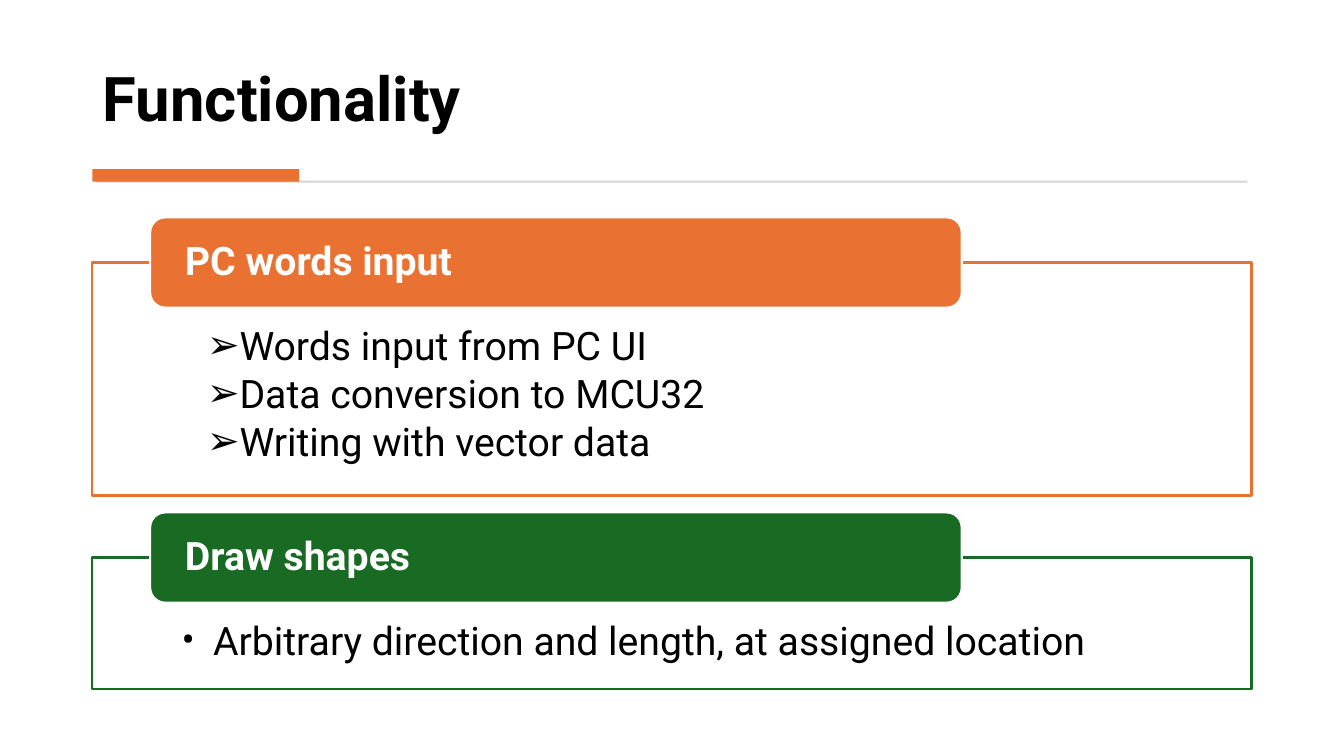
from dataclasses import dataclass

from lxml.etree import SubElement
from pptx import Presentation
from pptx.dml.color import RGBColor
from pptx.enum.shapes import MSO_SHAPE as Preset
from pptx.enum.text import MSO_ANCHOR as Anchor, PP_ALIGN as Align
from pptx.oxml.ns import qn
from pptx.shapes.autoshape import Shape
from pptx.slide import Slide
from pptx.text.text import TextFrame
from pptx.util import Emu, Pt

PX = 9525
FONT = "Roboto"
COLORS = {
    "black": "000000",
    "white": "FFFFFF",
    "gray": "D5D5D5",
    "orange": "E97132",
    "green": "196B24",
}
PANEL_LEFT, PANEL_WIDTH = 88, 1104
HEADER_LEFT, HEADER_WIDTH, HEADER_HEIGHT = 143, 773, 86


@dataclass(frozen=True)
class Box:
    left: int
    top: int
    width: int
    height: int

    def emu(self) -> list[Emu]:
        return [px(n) for n in (self.left, self.top, self.width, self.height)]


@dataclass(frozen=True)
class Section:
    heading: str
    items: tuple[str, ...]
    color: str
    top: int
    height: int
    bullet: str
    margin: int
    indent: int


SECTIONS = (
    Section(
        "PC words input",
        ("Words input from PC UI", "Data conversion to MCU32", "Writing with vector data"),
        "orange", 250, 222, "➢", 24, 0,
    ),
    Section(
        "Draw shapes",
        ("Arbitrary direction and length, at assigned location",),
        "green", 531, 125, "•", 30, -30,
    ),
)


def px(n: int) -> Emu:
    return Emu(n * PX)


def rgb(color: str) -> RGBColor:
    return RGBColor.from_string(COLORS[color])


def add_block(slide: Slide, preset: Preset, box: Box, fill: str, line: str = "") -> Shape:
    block = slide.shapes.add_shape(preset, *box.emu())
    block.shadow.inherit = False
    block.fill.solid()
    block.fill.fore_color.rgb = rgb(fill)
    if line:
        block.line.color.rgb = rgb(line)
        block.line.width = Pt(1.5)
    else:
        block.line.fill.background()
    return block


def set_frame(frame: TextFrame, anchor: Anchor, side: int, top: int, bottom: int) -> None:
    frame.word_wrap = True
    frame.vertical_anchor = anchor
    frame.margin_left = frame.margin_right = px(side)
    frame.margin_top, frame.margin_bottom = px(top), px(bottom)


def write_lines(frame: TextFrame, lines: tuple[str, ...], size: int, color: str,
                bold: bool, space_after: int) -> None:
    for index, line in enumerate(lines):
        paragraph = frame.add_paragraph() if index else frame.paragraphs[0]
        paragraph.alignment = Align.LEFT
        paragraph.line_spacing = 0.9
        paragraph.space_after = Pt(space_after)
        run = paragraph.add_run()
        run.text = line
        run.font.name = FONT
        run.font.size = Pt(size)
        run.font.bold = bold
        run.font.color.rgb = rgb(color)


def add_bullets(frame: TextFrame, section: Section) -> None:
    for paragraph in frame.paragraphs:
        paragraph.level = 1
        properties = paragraph._p.get_or_add_pPr()
        properties.set("marL", str(px(section.margin)))
        properties.set("indent", str(px(section.indent)))
        SubElement(properties, qn("a:buFont"), typeface=FONT)
        SubElement(properties, qn("a:buChar"), char=section.bullet)


def add_title(slide: Slide) -> None:
    title = slide.shapes.add_textbox(*Box(88, 26, 1103, 107).emu())
    set_frame(title.text_frame, Anchor.BOTTOM, 10, 5, 5)
    write_lines(title.text_frame, ("Functionality",), 44, "black", True, 6)
    add_block(slide, Preset.RECTANGLE, Box(91, 172, 1097, 2), "gray")
    add_block(slide, Preset.RECTANGLE, Box(88, 161, 197, 12), "orange")


def add_section(slide: Slide, section: Section) -> None:
    panel_box = Box(PANEL_LEFT, section.top, PANEL_WIDTH, section.height)
    panel = add_block(slide, Preset.RECTANGLE, panel_box, "white", section.color)
    set_frame(panel.text_frame, Anchor.TOP, 85, 61, 21)
    write_lines(panel.text_frame, section.items, 28, "black", False, 4)
    add_bullets(panel.text_frame, section)

    header_box = Box(HEADER_LEFT, section.top - HEADER_HEIGHT // 2, HEADER_WIDTH, HEADER_HEIGHT)
    header = add_block(slide, Preset.ROUNDED_RECTANGLE, header_box, section.color, "white")
    set_frame(header.text_frame, Anchor.MIDDLE, 29, 0, 0)
    write_lines(header.text_frame, (section.heading,), 28, "white", True, 0)


def main() -> None:
    presentation = Presentation()
    presentation.slide_width, presentation.slide_height = px(1280), px(720)
    slide = presentation.slides.add_slide(presentation.slide_layouts[6])
    add_title(slide)
    for section in SECTIONS:
        add_section(slide, section)
    presentation.save("out.pptx")


if __name__ == "__main__":
    main()
